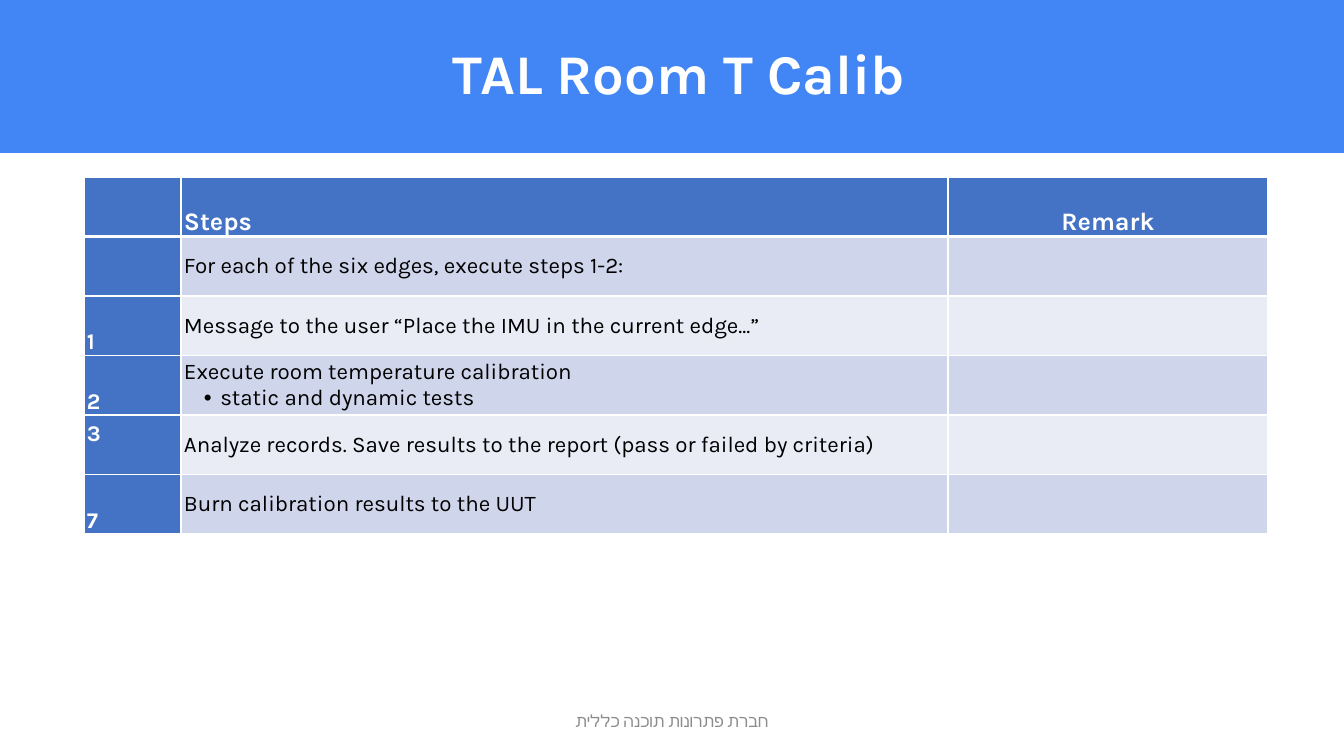
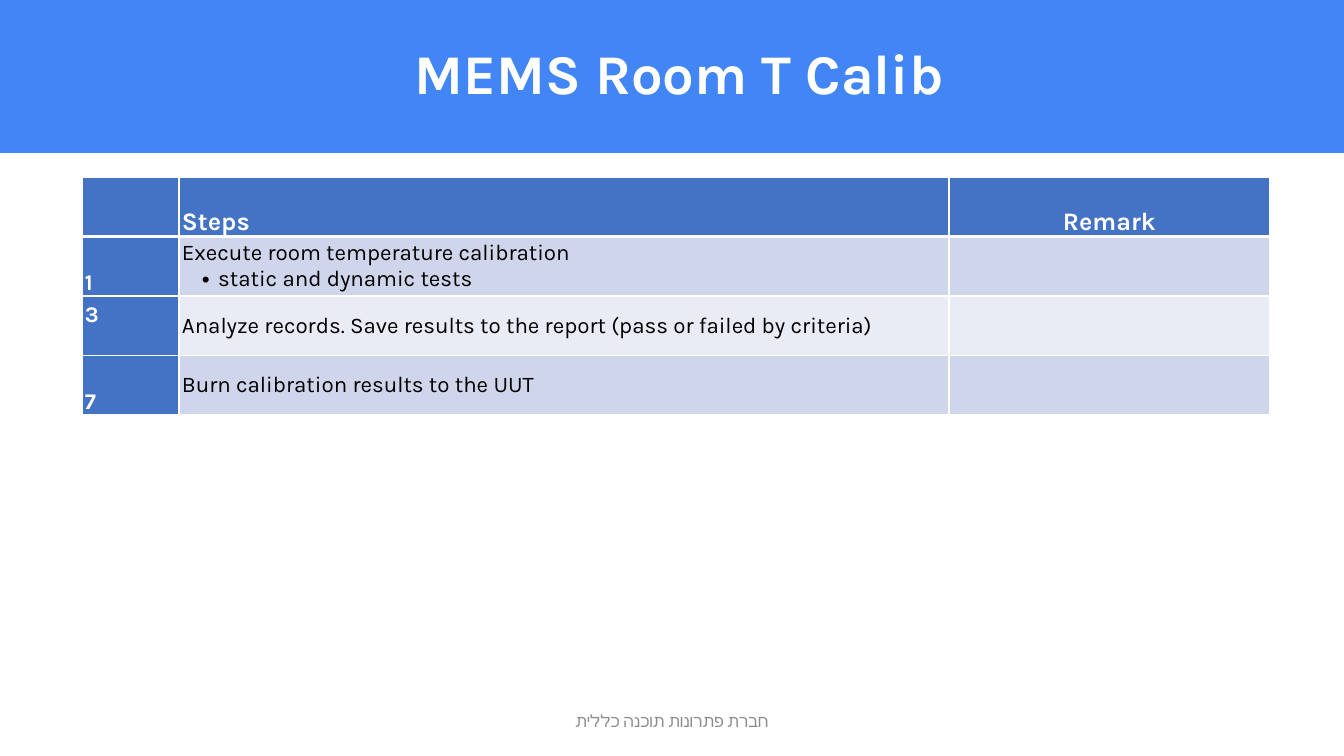
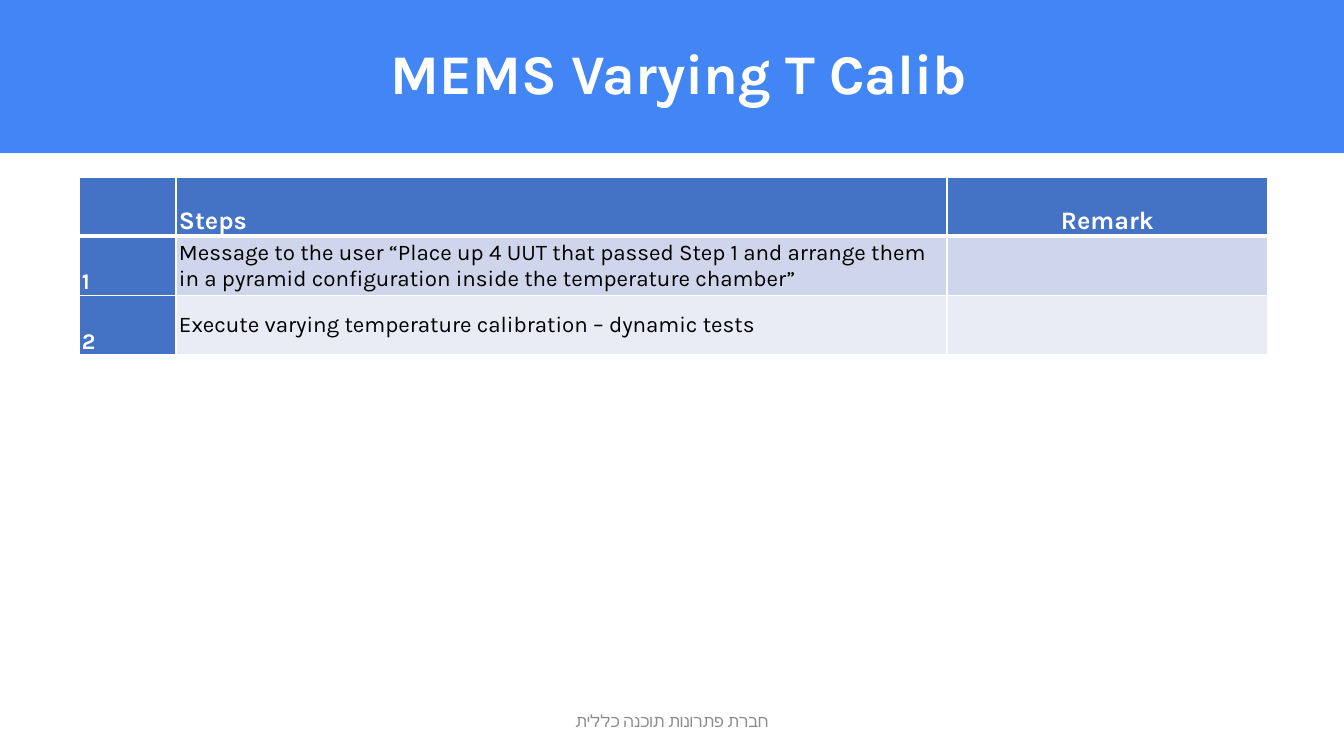
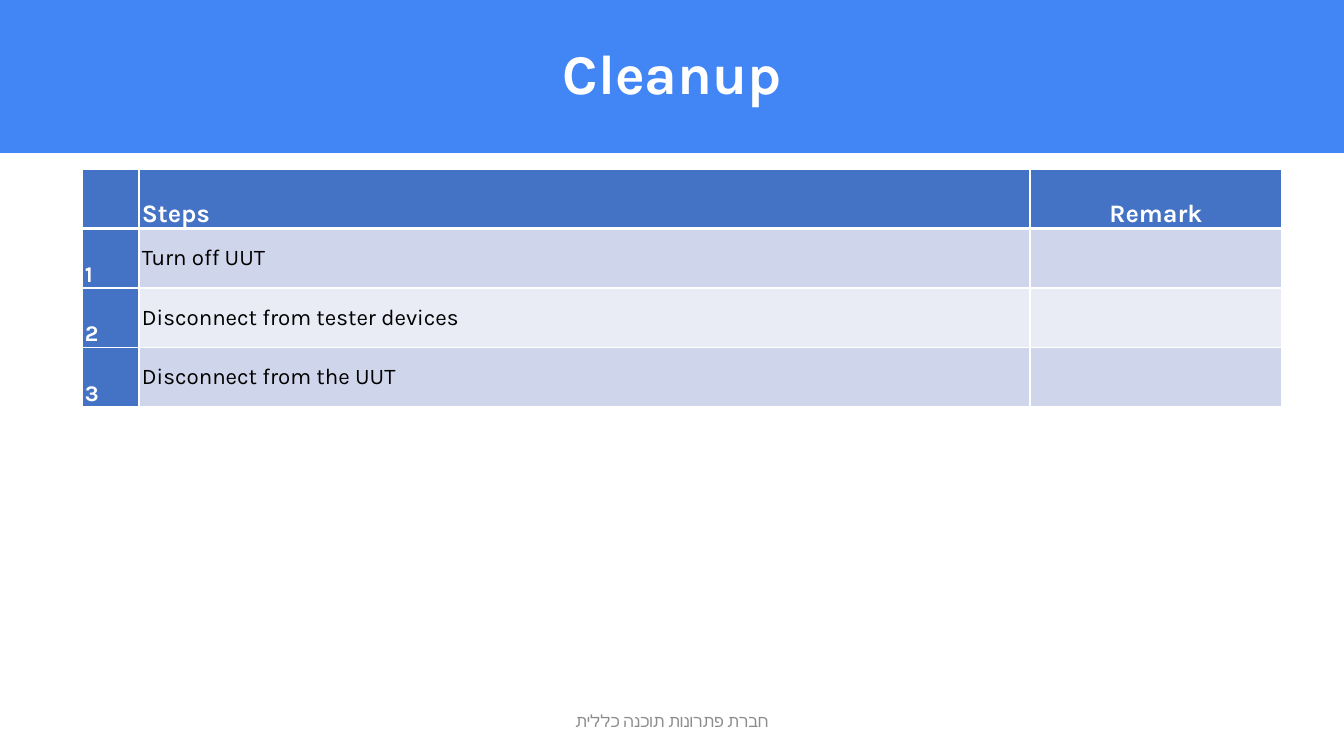
from dataclasses import dataclass
from typing import Optional

from pptx import Presentation
from pptx.dml.color import RGBColor
from pptx.enum.shapes import MSO_SHAPE
from pptx.enum.text import MSO_ANCHOR, MSO_AUTO_SIZE, PP_ALIGN
from pptx.oxml.ns import qn
from pptx.util import Emu, Pt
from lxml.etree import SubElement

SLIDE_W, SLIDE_H = 1344, 756
EMU_PER_PX = 12192000 / SLIDE_W
BAND_H = 153


@dataclass(frozen=True)
class Theme:
    band: str = "4285F4"
    head: str = "4472C4"
    odd: str = "CFD5EA"
    even: str = "E9EBF5"
    white: str = "FFFFFF"
    ink: str = "000000"
    muted: str = "8C8C8C"
    font: str = "Karla"
    footer_font: str = "Calibri"
    title_pt: int = 40
    head_pt: int = 18
    body_pt: int = 16
    footer_pt: int = 12
    line_pt: int = 1
    head_line_pt: int = 3


@dataclass(frozen=True)
class Step:
    number: str
    text: str
    bullet: Optional[str] = None
    raised: bool = False  # number sits near the top of its cell


@dataclass(frozen=True)
class StepSlide:
    title: str
    left: int
    top: int
    height: int
    cols: tuple[int, int, int]
    steps: tuple[Step, ...]


T = Theme()
FOOTER = "חברת פתרונות תוכנה כללית"
STATIC_DYNAMIC = ("Execute room temperature calibration", " static and dynamic tests")
FINISH = (
    Step("3", "Analyze records. Save results to the report (pass or failed by criteria)",
         raised=True),
    Step("7", "Burn calibration results to the UUT"),
)

SLIDES = (
    StepSlide("TAL Room T Calib ", 84, 177, 357, (97, 767, 320), (
        Step("", "For each of the six edges, execute steps 1-2:"),
        Step("1", "Message to the user “Place the IMU in the current edge...”"),
        Step("2", *STATIC_DYNAMIC),
        *FINISH,
    )),
    StepSlide("MEMS Room T Calib ", 82, 177, 238, (97, 770, 321), (
        Step("1", *STATIC_DYNAMIC),
        *FINISH,
    )),
    StepSlide("MEMS Varying T Calib ", 79, 177, 178, (97, 771, 321), (
        Step("1", "Message to the user “Place up 4 UUT that passed Step 1 and arrange them "
                  "in a pyramid configuration inside the temperature chamber”"),
        Step("2", "Execute varying temperature calibration – dynamic tests"),
    )),
    StepSlide("Cleanup", 82, 169, 238, (57, 891, 252), (
        Step("1", "Turn off UUT"),
        Step("2", "Disconnect from tester devices"),
        Step("3", "Disconnect from the UUT"),
    )),
)


def px(n: int) -> Emu:
    return Emu(round(n * EMU_PER_PX))


def style(p, size: int, color: str, bold: bool = False, font: str = T.font,
          align=PP_ALIGN.LEFT, rtl: bool = False) -> None:
    p.alignment = align
    if rtl:
        p._p.get_or_add_pPr().set("rtl", "1")
    for r in p.runs:
        f = r.font
        f.size, f.bold, f.name = Pt(size), bold, font
        f.color.rgb = RGBColor.from_string(color)
        SubElement(f._element, qn("a:cs"), typeface=font)


def add_bullet(p) -> None:
    pPr = p._p.get_or_add_pPr()
    pPr.set("marL", str(px(31)))
    pPr.set("indent", str(-px(11)))
    SubElement(pPr, qn("a:buFont"), typeface="Arial")
    SubElement(pPr, qn("a:buChar"), char="•")


def set_borders(cell, top_pt: int, bottom_pt: int) -> None:
    tcPr = cell._tc.get_or_add_tcPr()
    widths = {"lnL": T.line_pt, "lnR": T.line_pt, "lnT": top_pt, "lnB": bottom_pt}
    for tag, width in widths.items():
        ln = SubElement(tcPr, qn(f"a:{tag}"), w=str(Pt(width)))
        SubElement(SubElement(ln, qn("a:solidFill")), qn("a:srgbClr"), val=T.white)


def fill_cell(cell, text: str, fill: str, size: int, color: str, bold: bool,
              anchor, align=PP_ALIGN.LEFT) -> None:
    cell.fill.solid()
    cell.fill.fore_color.rgb = RGBColor.from_string(fill)
    cell.margin_left = cell.margin_right = px(3)
    cell.margin_top = cell.margin_bottom = 0
    cell.vertical_anchor = anchor
    cell.text_frame.text = text
    for p in cell.text_frame.paragraphs:
        style(p, size, color, bold, align=align)


def add_band(s, layout) -> None:
    """Draw the title band and move it to the back of the shared layout."""
    band = s.shapes.add_shape(MSO_SHAPE.RECTANGLE, 0, 0, px(SLIDE_W), px(BAND_H))
    band.shadow.inherit = False
    band.fill.solid()
    band.fill.fore_color.rgb = RGBColor.from_string(T.band)
    band.line.fill.background()
    band.element.nvSpPr.cNvPr.set("id", "20")
    layout.shapes.element.insert(2, band.element)


def add_title(s, text: str) -> None:
    sp = s.shapes.title
    sp.left, sp.top, sp.width, sp.height = 0, 0, px(SLIDE_W), px(BAND_H)
    tf = sp.text_frame
    tf.text = text
    tf.auto_size = MSO_AUTO_SIZE.NONE
    tf.vertical_anchor = MSO_ANCHOR.MIDDLE
    p = tf.paragraphs[0]
    p.line_spacing = 0.9
    style(p, T.title_pt, T.white, True, align=PP_ALIGN.CENTER, rtl=True)


def add_footer(s) -> None:
    tf = s.shapes.add_textbox(px(445), px(701), px(454), px(40)).text_frame
    tf.word_wrap = True
    tf.vertical_anchor = MSO_ANCHOR.MIDDLE
    tf.text = FOOTER
    style(tf.paragraphs[0], T.footer_pt, T.muted, font=T.footer_font,
          align=PP_ALIGN.CENTER, rtl=True)


def add_steps(s, data: StepSlide) -> None:
    tbl = s.shapes.add_table(len(data.steps) + 1, 3, px(data.left), px(data.top),
                             px(sum(data.cols)), px(data.height)).table
    tbl.first_row = tbl.horz_banding = False
    for col, width in zip(tbl.columns, data.cols):
        col.width = px(width)

    # Borders come before fills in the cell properties
    for i, row in enumerate(tbl.rows):
        for cell in row.cells:
            set_borders(cell, T.head_line_pt if i == 1 else T.line_pt,
                        T.head_line_pt if i == 0 else T.line_pt)

    # Header row
    for j, label in enumerate(("", "Steps", "Remark")):
        fill_cell(tbl.cell(0, j), label, T.head, T.head_pt, T.white, True,
                  MSO_ANCHOR.BOTTOM, PP_ALIGN.CENTER if j == 2 else PP_ALIGN.LEFT)

    # Step rows
    for i, step in enumerate(data.steps, 1):
        number, body, remark = tbl.rows[i].cells
        fill = T.odd if i % 2 else T.even
        fill_cell(number, step.number, T.head, T.body_pt, T.white, True,
                  MSO_ANCHOR.TOP if step.raised else MSO_ANCHOR.BOTTOM)
        if step.raised:
            number.margin_top = px(6)
        text = f"{step.text}\n{step.bullet}" if step.bullet else step.text
        fill_cell(body, text, fill, T.body_pt, T.ink, False, MSO_ANCHOR.MIDDLE)
        if step.bullet:
            add_bullet(body.text_frame.paragraphs[1])
        fill_cell(remark, "", fill, T.body_pt, T.ink, False, MSO_ANCHOR.MIDDLE)


def main() -> None:
    prs = Presentation()
    prs.slide_width, prs.slide_height = px(SLIDE_W), px(SLIDE_H)
    layout = prs.slide_layouts.get_by_name("Title Only")
    for i, data in enumerate(SLIDES):
        s = prs.slides.add_slide(layout)
        if i == 0:
            add_band(s, layout)
        add_title(s, data.title)
        add_footer(s)
        add_steps(s, data)
    prs.save("out.pptx")


if __name__ == "__main__":
    main()
